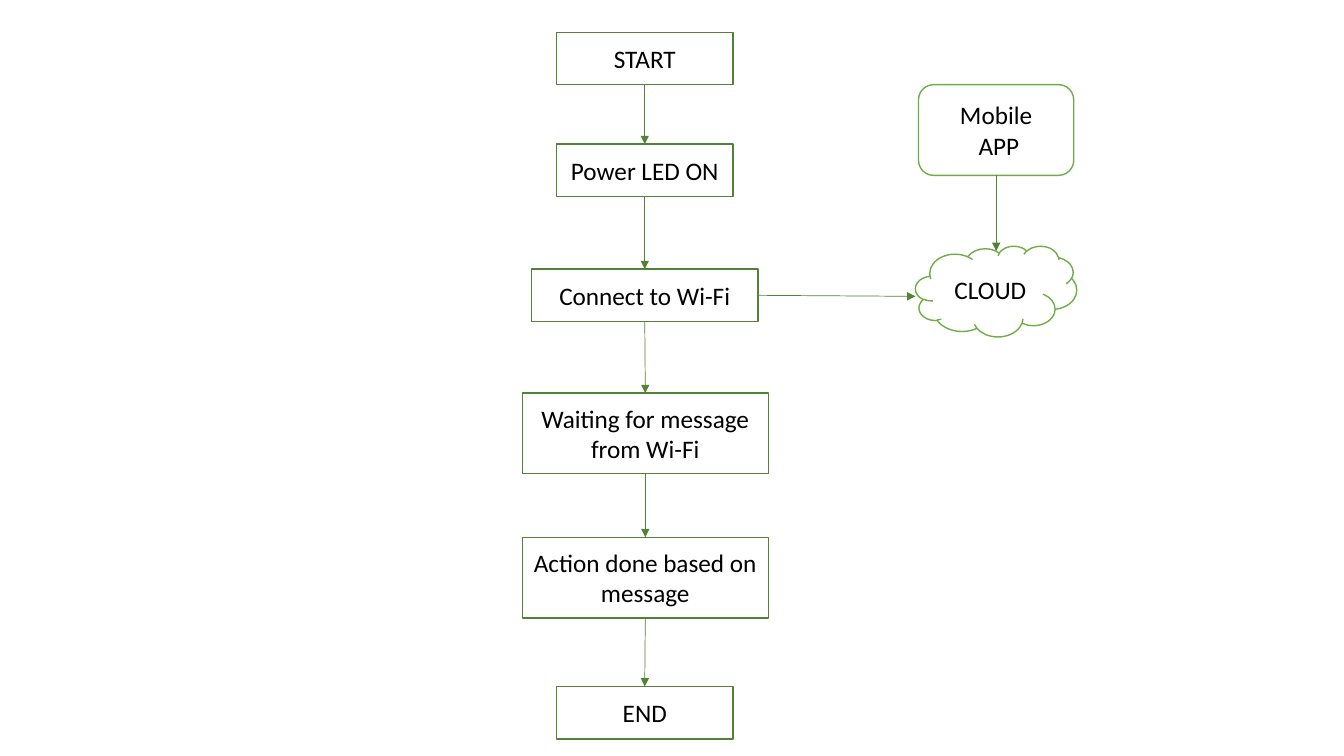
import pptx
import pptx.dml.color
import pptx.enum.shapes
import pptx.enum.text
import pptx.oxml
import pptx.oxml.ns
import pptx.util

PX = 9144  # EMU in one px, 100 px to the inch
COLORS = {"paper": "FFFFFF", "ink": "000000", "step": "548235", "remote": "70AD47"}
FONT = {"name": "Calibri", "size": pptx.util.Pt(18)}
TOP, LEFT, BOTTOM, RIGHT = range(4)
SHAPES = pptx.enum.shapes.MSO_SHAPE

# Text, top, width and height of each step; all share one centre line
STEPS = [
    ("START", 0, 175, 52),
    ("Power LED ON", 111, 175, 52),
    ("Connect to Wi-Fi", 235, 225, 52),
    ("Waiting for message from Wi-Fi", 358, 244, 80),
    ("Action done based on message", 501, 244, 80),
    ("END", 649, 175, 52),
]


def color(name):
    return pptx.dml.color.RGBColor.from_string(COLORS[name])


def add_node(page, kind, box, lines, outline):
    """Outlined shape with centred text, one paragraph a line."""
    node = page.shapes.add_shape(kind, *(length * PX for length in box))
    node.shadow.inherit = False
    node.fill.solid()
    node.fill.fore_color.rgb = color("paper")
    node.line.color.rgb = color(outline)
    node.line.width = pptx.util.Pt(1)
    frame = node.text_frame
    frame.word_wrap = True
    frame.vertical_anchor = pptx.enum.text.MSO_ANCHOR.MIDDLE
    for index, line in enumerate(lines):
        para = frame.add_paragraph() if index else frame.paragraphs[0]
        para.alignment = pptx.enum.text.PP_ALIGN.CENTER
        span = para.add_run()
        span.text = line
        for name, value in FONT.items():
            setattr(span.font, name, value)
        span.font.color.rgb = color("ink")
    return node


def add_arrow(page, source, side, end, target=None):
    """Thin arrow from a side of the source to a point, or to the top of a target."""
    arrow = page.shapes.add_connector(
        pptx.enum.shapes.MSO_CONNECTOR.STRAIGHT, 0, 0, *(length * PX for length in end)
    )
    arrow.begin_connect(source, side)
    if target is not None:
        arrow.end_connect(target, TOP)
    arrow.line.color.rgb = color("step")
    arrow.line.width = pptx.util.Pt(0.5)
    line = arrow.line._get_or_add_ln()
    head = pptx.oxml.parse_xml(
        f'<a:tailEnd {pptx.oxml.ns.nsdecls("a")} type="triangle"/>'
    )
    line.append(head)
    effects = pptx.oxml.parse_xml(f'<a:effectLst {pptx.oxml.ns.nsdecls("a")}/>')
    line.addnext(effects)


def add_steps(page, box):
    """Column of device steps, each joined to the next."""
    left, top, width, _ = box
    nodes = []
    for text, offset, node_width, height in STEPS:
        node_left = left + (width - node_width) // 2
        node_box = (node_left, top + offset, node_width, height)
        nodes.append(add_node(page, SHAPES.RECTANGLE, node_box, [text], "step"))
    for source, target in zip(nodes, nodes[1:]):
        add_arrow(page, source, BOTTOM, (0, 0), target)
    return nodes


def add_remote(page, box, wifi):
    """Mobile app above the cloud, which the Wi-Fi step also reaches."""
    left, top, width, height = box
    node_height = 90
    cloud_top = top + height - node_height
    cloud_box = (left, cloud_top, width, node_height)
    add_node(page, SHAPES.CLOUD, cloud_box, ["CLOUD"], "remote")
    app_box = (left + 3, top, width - 6, node_height)
    app = add_node(page, SHAPES.ROUNDED_RECTANGLE, app_box, ["Mobile", " APP"], "remote")
    add_arrow(page, wifi, RIGHT, (left, cloud_top + 50))
    add_arrow(page, app, BOTTOM, (left + width // 2, cloud_top + 5))


def main():
    deck = pptx.Presentation()
    deck.slide_width, deck.slide_height = 1333 * PX, 750 * PX
    page = deck.slides.add_slide(deck.slide_layouts[6])
    page.background.fill.solid()
    page.background.fill.fore_color.rgb = color("paper")
    # Device flow in the centre, remote side at the right
    steps = add_steps(page, (518, 32, 244, 701))
    add_remote(page, (908, 84, 160, 250), steps[2])
    deck.save("out.pptx")


if __name__ == "__main__":
    main()
